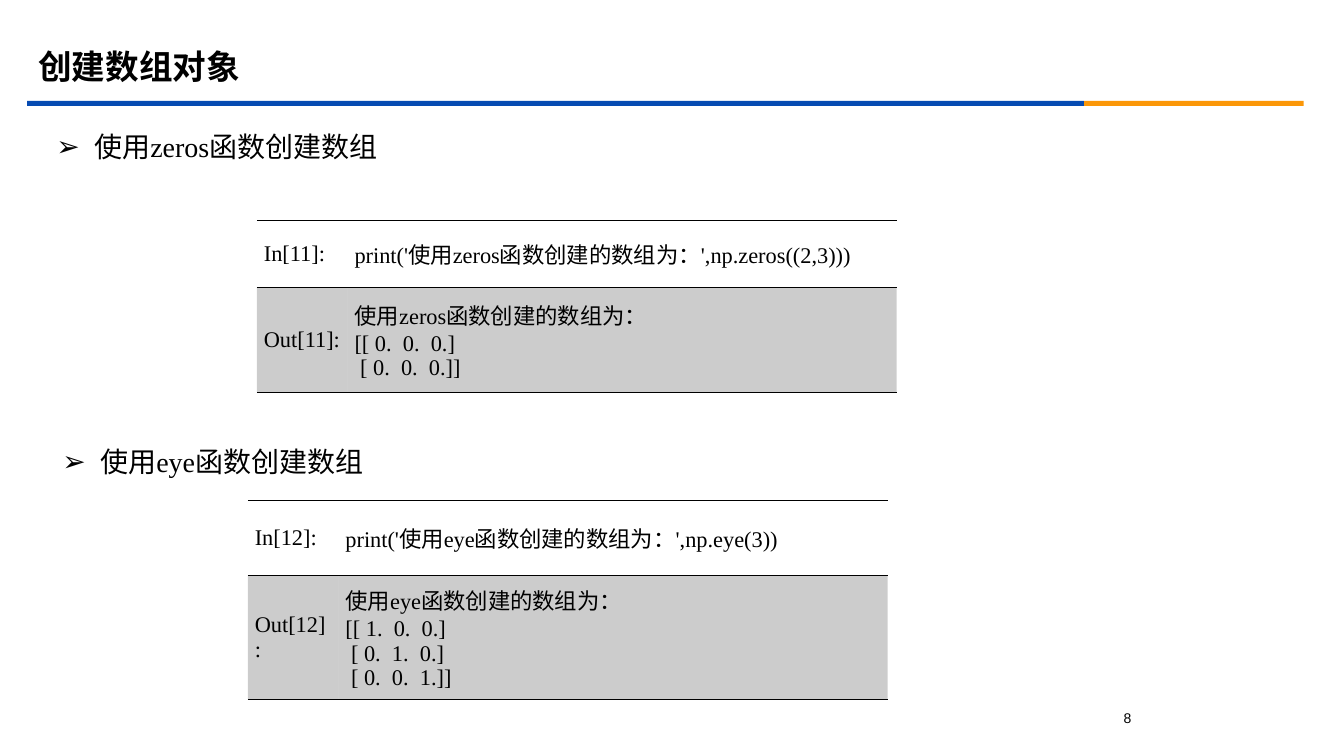
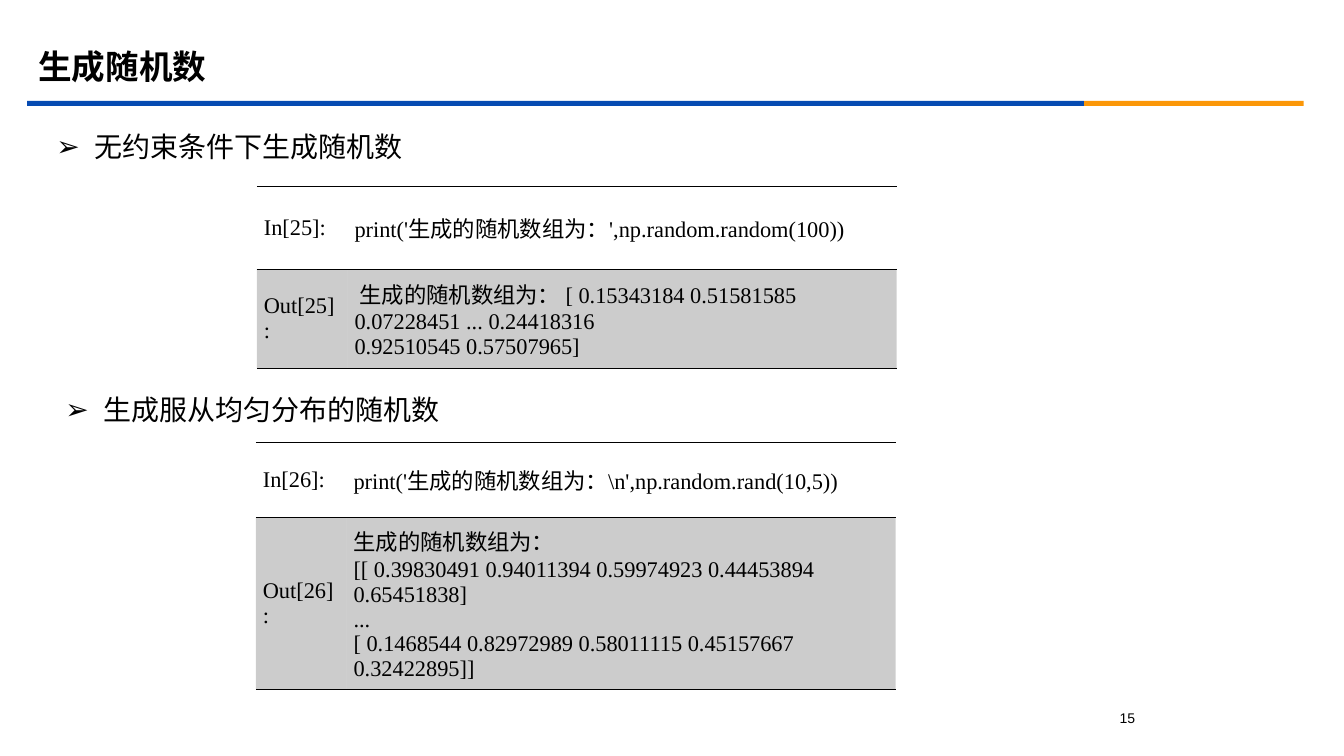
from lxml.etree import SubElement
from pptx import Presentation
from pptx.dml.color import RGBColor
from pptx.enum.shapes import MSO_SHAPE
from pptx.enum.text import MSO_ANCHOR, MSO_AUTO_SIZE, PP_ALIGN
from pptx.oxml import parse_xml
from pptx.oxml.ns import nsdecls, qn
from pptx.util import Pt

BLACK = RGBColor(0x00, 0x00, 0x00)
BLUE = RGBColor(0x06, 0x4B, 0xB2)
ORANGE = RGBColor(0xFB, 0x97, 0x08)

SERIF = "Times New Roman"
DISPLAY = "Montserrat"
CHINESE = "Noto Sans CJK SC"
NUMBER_FONT = "Arial"

LABEL_WIDTH, CODE_WIDTH = 64.8, 392.4
OUTPUT_OPACITY = 20000
RULE_WIDTH = Pt(0.45)


class Deck:
    """Holds the shared style and the slide being filled."""

    def __init__(self):
        self.presentation = Presentation()
        self.presentation.slide_width = Pt(960.48)
        self.presentation.slide_height = Pt(540)
        self.slide = None

    def new_slide(self, title, number, title_font):
        # Two Content layout: a title and two body placeholders
        layout = self.presentation.slide_layouts[3]
        self.slide = self.presentation.slides.add_slide(layout)
        self.band(19.4, 755.3, BLUE)
        self.band(774.7, 157, ORANGE)
        self.page_number(number)
        self.placeholder(0, title, (20.2, 28.1, 864, 41.8), 24, title_font, bold=True)

    def add_text(self, paragraph, text, size, font, bold=False):
        run = paragraph.add_run()
        run.text = text
        run.font.size = Pt(size)
        run.font.name = font
        run.font.bold = bold
        run.font.color.rgb = BLACK
        SubElement(run.font._element, qn("a:ea"), typeface=CHINESE)

    def band(self, left, width, color):
        band = self.slide.shapes.add_shape(
            MSO_SHAPE.RECTANGLE, Pt(left), Pt(72), Pt(width), Pt(3.6))
        band.shadow.inherit = False
        band.fill.solid()
        band.fill.fore_color.rgb = color
        band.line.fill.background()

    def page_number(self, number):
        box = self.slide.shapes.add_textbox(Pt(783.4), Pt(503.3), Pt(44.6), Pt(18))
        box.text_frame.word_wrap = True
        paragraph = box.text_frame.paragraphs[0]
        paragraph.alignment = PP_ALIGN.CENTER
        self.add_text(paragraph, str(number), 10, NUMBER_FONT)

    def placeholder(self, index, text, place, size, font, bold=False):
        holder = self.slide.placeholders[index]
        holder.left, holder.top, holder.width, holder.height = map(Pt, place)
        frame = holder.text_frame
        frame.auto_size = MSO_AUTO_SIZE.NONE
        frame.vertical_anchor = MSO_ANCHOR.MIDDLE
        paragraph = frame.paragraphs[0]
        paragraph.alignment = PP_ALIGN.LEFT
        paragraph.line_spacing = 0.9
        paragraph.space_before = Pt(0)
        self.add_text(paragraph, text, size, font, bold)
        return paragraph

    def heading(self, index, text, left, top, font):
        paragraph = self.placeholder(index, text, (left, top, 874.8, 33.8), 20, font)
        properties = paragraph._p.get_or_add_pPr()
        properties.set("marL", str(Pt(27)))
        properties.set("indent", str(-Pt(27)))
        color = SubElement(properties, qn("a:buClr"))
        SubElement(color, qn("a:srgbClr"), val=str(BLACK))
        SubElement(properties, qn("a:buChar"), char="➢")

    def code_table(self, number, code, output, left, top, heights):
        table = self.slide.shapes.add_table(
            2, 2, Pt(left), Pt(top), Pt(LABEL_WIDTH + CODE_WIDTH), Pt(sum(heights))).table
        table.first_row = table.horz_banding = False
        for column, width in zip(table.columns, (LABEL_WIDTH, CODE_WIDTH)):
            column.width = Pt(width)
        contents = (([f"In[{number}]:"], [code]), ([f"Out[{number}]:"], output))
        for r, (height, row) in enumerate(zip(heights, contents)):
            table.rows[r].height = Pt(height)
            for c, lines in enumerate(row):
                self.cell(table.cell(r, c), lines, is_label=c == 0, shaded=r == 1)

    def cell(self, cell, lines, is_label, shaded):
        cell.vertical_anchor = MSO_ANCHOR.MIDDLE
        cell.margin_left = cell.margin_right = Pt(5)
        cell.margin_top = cell.margin_bottom = Pt(3.6)
        frame = cell.text_frame
        for i, line in enumerate(lines):
            paragraph = frame.add_paragraph() if i else frame.paragraphs[0]
            paragraph.alignment = PP_ALIGN.JUSTIFY if is_label else PP_ALIGN.LEFT
            self.add_text(paragraph, line, 16, SERIF)
        properties = cell._tc.get_or_add_tcPr()
        if shaded:
            cell.fill.solid()
            cell.fill.fore_color.rgb = BLACK
            SubElement(properties.find(".//" + qn("a:srgbClr")), qn("a:alpha"),
                       val=str(OUTPUT_OPACITY))
        else:
            cell.fill.background()
        # Rules above and below only
        rule = f'<a:solidFill><a:srgbClr val="{BLACK}"/></a:solidFill>'
        edges = (("lnL", "<a:noFill/>"), ("lnR", "<a:noFill/>"), ("lnT", rule), ("lnB", rule))
        for position, (edge, paint) in enumerate(edges):
            properties.insert(position, parse_xml(
                f'<a:{edge} {nsdecls("a")} w="{RULE_WIDTH}">{paint}</a:{edge}>'))


def main():
    deck = Deck()

    # Creating arrays
    deck.new_slide("创建数组对象", 8, SERIF)
    deck.heading(1, "使用zeros函数创建数组", 33.1, 89.3, SERIF)
    deck.code_table(
        11, "print('使用zeros函数创建的数组为：',np.zeros((2,3)))",
        ["使用zeros函数创建的数组为：", "[[ 0.  0.  0.]", " [ 0.  0.  0.]]"],
        183.6, 157, (48.4, 74.7))
    deck.heading(2, "使用eye函数创建数组", 37.4, 313.9, SERIF)
    deck.code_table(
        12, "print('使用eye函数创建的数组为：',np.eye(3))",
        ["使用eye函数创建的数组为：", "[[ 1.  0.  0.]", " [ 0.  1.  0.]", " [ 0.  0.  1.]]"],
        177.1, 357.1, (54, 88.3))

    # Random numbers
    deck.new_slide("生成随机数", 15, DISPLAY)
    deck.heading(1, "无约束条件下生成随机数", 33.1, 89.3, CHINESE)
    deck.code_table(
        25, "print('生成的随机数组为：',np.random.random(100))",
        [" 生成的随机数组为： [ 0.15343184 0.51581585",
         "0.07228451 ... 0.24418316",
         "0.92510545 0.57507965]"],
        183.6, 133.2, (59, 70.6))
    deck.heading(2, "生成服从均匀分布的随机数", 39.6, 277.2, CHINESE)
    deck.code_table(
        26, "print('生成的随机数组为：\\n',np.random.rand(10,5))",
        ["生成的随机数组为：",
         "[[ 0.39830491 0.94011394 0.59974923 0.44453894 0.65451838]",
         "...",
         "[ 0.1468544 0.82972989 0.58011115 0.45157667 0.32422895]]"],
        182.9, 315.8, (54, 116.6))

    deck.presentation.save("out.pptx")


if __name__ == "__main__":
    main()
